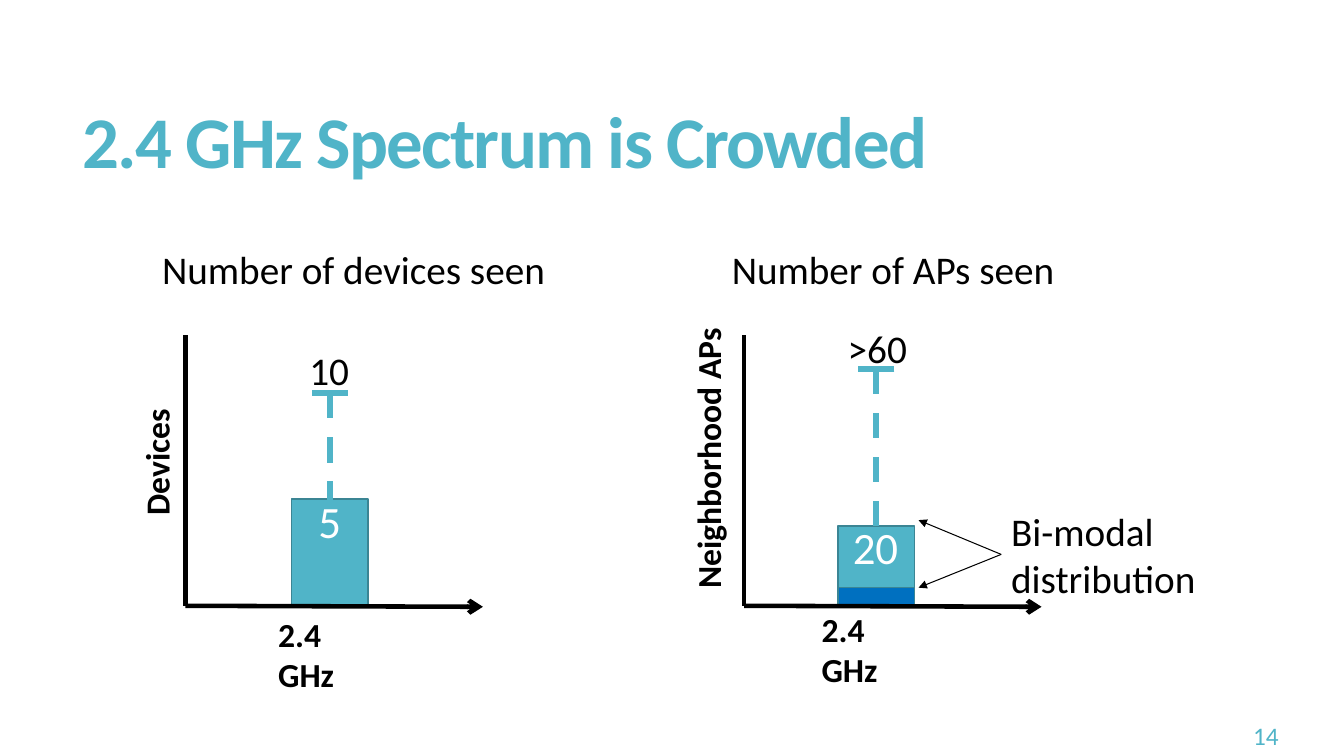
from pptx import Presentation
from pptx.dml.color import RGBColor
from pptx.enum.dml import MSO_LINE
from pptx.enum.shapes import MSO_CONNECTOR, MSO_SHAPE
from pptx.enum.text import MSO_ANCHOR, MSO_AUTO_SIZE, PP_ALIGN
from pptx.oxml.ns import qn
from pptx.util import Inches, Pt
from lxml.etree import SubElement

COLORS = {"teal": "50B4C8", "edge": "3B8594", "blue": "0070C0",
          "black": "000000", "white": "FFFFFF"}
TITLE = "2.4 GHz Spectrum is Crowded"
PAGE = "14"
NOTE = "Bi-modal distribution"

# Boxes are (left, top, width, height); bars are (top, bottom, colour).
PANELS = [
    {"axis": 1.84, "bar_left": 2.89, "bars": [(4.95, 6.01, "teal")],
     "whisker": (3.9, 4.98),
     "labels": [("Number of devices seen", (1.51, 2.38, 4, 0.57), {}),
                ("10", (2.97, 3.39, 0.6, 0.57), {}),
                ("5", (3.06, 4.85, 0.51, 0.64), {"size": 32, "color": "white"}),
                ("Devices", (1.3, 4.1, 0.61, 1.11),
                 {"size": 24, "bold": True, "vert": True}),
                ("2.4 GHz", (2.66, 6.04, 0.95, 0.9),
                 {"size": 24, "bold": True, "wrap": True})]},
    {"axis": 7.38, "bar_left": 8.31,
     "bars": [(5.22, 5.99, "teal"), (5.83, 6.01, "blue")],
     "whisker": (3.66, 5.22),
     "labels": [("Number of APs seen", (7.16, 2.38, 3.4, 0.57), {}),
                (">60", (8.31, 3.17, 0.8, 0.57), {}),
                ("20", (8.36, 5.11, 0.66, 0.64), {"size": 32, "color": "white"}),
                ("Neighborhood APs", (6.77, 3.37, 0.61, 2.57),
                 {"size": 24, "bold": True, "vert": True}),
                ("2.4 GHz", (8.05, 5.99, 0.95, 0.9),
                 {"size": 24, "bold": True, "wrap": True})]},
]
AXIS_TOP, AXIS_BASE, AXIS_LENGTH = 3.32, 6.01, 2.95
BAR_WIDTH, CAP_HALF = 0.76, 0.18
NOTE_TIP, NOTE_ENDS = (9.93, 5.5), [(9.11, 5.16), (9.11, 5.83)]


def rgb(name):
    """Look up a colour by name."""
    return RGBColor.from_string(COLORS[name])


def set_text(sp, text, size=28, color="black", bold=False, wrap=False, vert=False,
             align=PP_ALIGN.LEFT, anchor=MSO_ANCHOR.TOP):
    """Put one formatted run of text in a shape and return the run."""
    tf = sp.text_frame
    tf.auto_size, tf.word_wrap, tf.vertical_anchor = MSO_AUTO_SIZE.NONE, wrap, anchor
    if vert:
        tf._txBody.find(qn("a:bodyPr")).set("vert", "vert270")
    p = tf.paragraphs[0]
    p.alignment = align
    r = p.add_run()
    r.text = text
    r.font.name, r.font.size, r.font.bold = "Calibri", Pt(size), bold
    r.font.color.rgb = rgb(color)
    return r


def add_text(s, text, box, **fmt):
    """Add a text box."""
    set_text(s.shapes.add_textbox(*map(Inches, box)), text, **fmt)


def add_bar(s, left, top, bottom, color):
    """Add one bar of a panel."""
    sp = s.shapes.add_shape(MSO_SHAPE.RECTANGLE, *map(
        Inches, (left, top, BAR_WIDTH, bottom - top)))
    sp.shadow.inherit = False
    sp.fill.solid()
    sp.fill.fore_color.rgb = rgb(color)
    sp.line.color.rgb = rgb("edge")
    sp.line.width = Pt(1)


def add_line(s, start, end, width, color="black", dash=False, head=None):
    """Add a straight line, with an arrowhead at its end if head is given."""
    c = s.shapes.add_connector(MSO_CONNECTOR.STRAIGHT, *map(Inches, start + end))
    c.line.color.rgb = rgb(color)
    c.line.width = Pt(width)
    if dash:
        c.line.dash_style = MSO_LINE.DASH
    if head:
        SubElement(c.line._get_or_add_ln(), qn("a:tailEnd"), type=head)
    SubElement(c._element.spPr, qn("a:effectLst"))


def add_panel(s, panel):
    """Draw bars, axes, whisker and labels of one panel."""
    for bar in panel["bars"]:
        add_bar(s, panel["bar_left"], *bar)
    x = panel["axis"]
    origin = (x, AXIS_BASE)
    add_line(s, origin, (x + AXIS_LENGTH, AXIS_BASE + 0.01), 3.25, head="arrow")
    add_line(s, origin, (x, AXIS_TOP), 3.25)
    mid = panel["bar_left"] + BAR_WIDTH / 2
    top, bottom = panel["whisker"]
    add_line(s, (mid, top), (mid, bottom), 4.5, "teal", dash=True)
    add_line(s, (mid + CAP_HALF, top), (mid - CAP_HALF, top), 4.5, "teal")
    for text, box, fmt in panel["labels"]:
        add_text(s, text, box, **fmt)


prs = Presentation()
prs.slide_width, prs.slide_height = Inches(13.33), Inches(7.5)
s = prs.slides.add_slide(prs.slide_layouts[5])

title = s.shapes.title
title.left, title.top, title.width, title.height = map(Inches, (0.72, 0.55, 11.78, 1.81))
r = set_text(title, TITLE, size=52, color="teal", bold=True, wrap=True,
             anchor=MSO_ANCHOR.MIDDLE)
r.font._element.set("spc", "-120")
title.text_frame.paragraphs[0].line_spacing = 0.85

for panel in PANELS:
    add_panel(s, panel)
for end in NOTE_ENDS:
    add_line(s, NOTE_TIP, end, 0.75, head="triangle")
add_text(s, NOTE, (9.93, 4.98, 2.12, 1.04), wrap=True)
add_text(s, PAGE, (9.58, 6.43, 3.2, 1.07), size=18, color="teal", wrap=True,
         align=PP_ALIGN.RIGHT, anchor=MSO_ANCHOR.BOTTOM)

prs.save("out.pptx")
